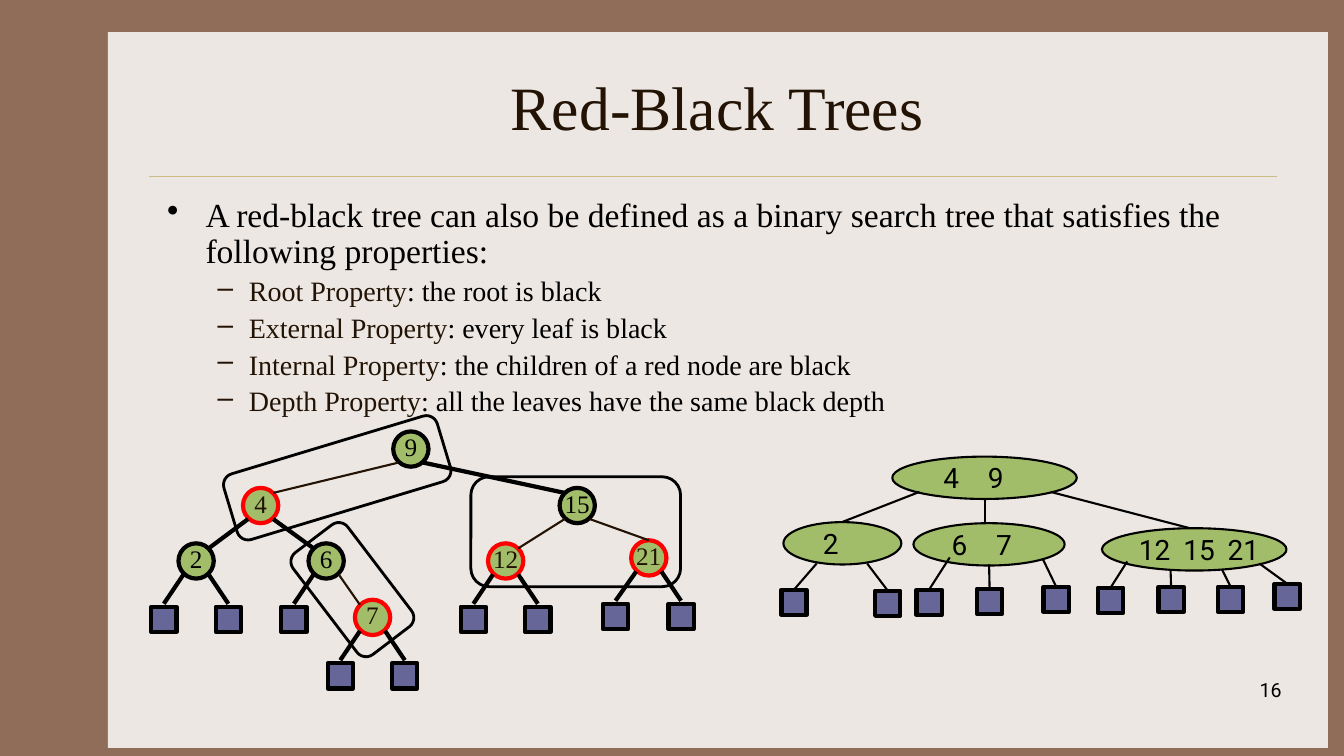
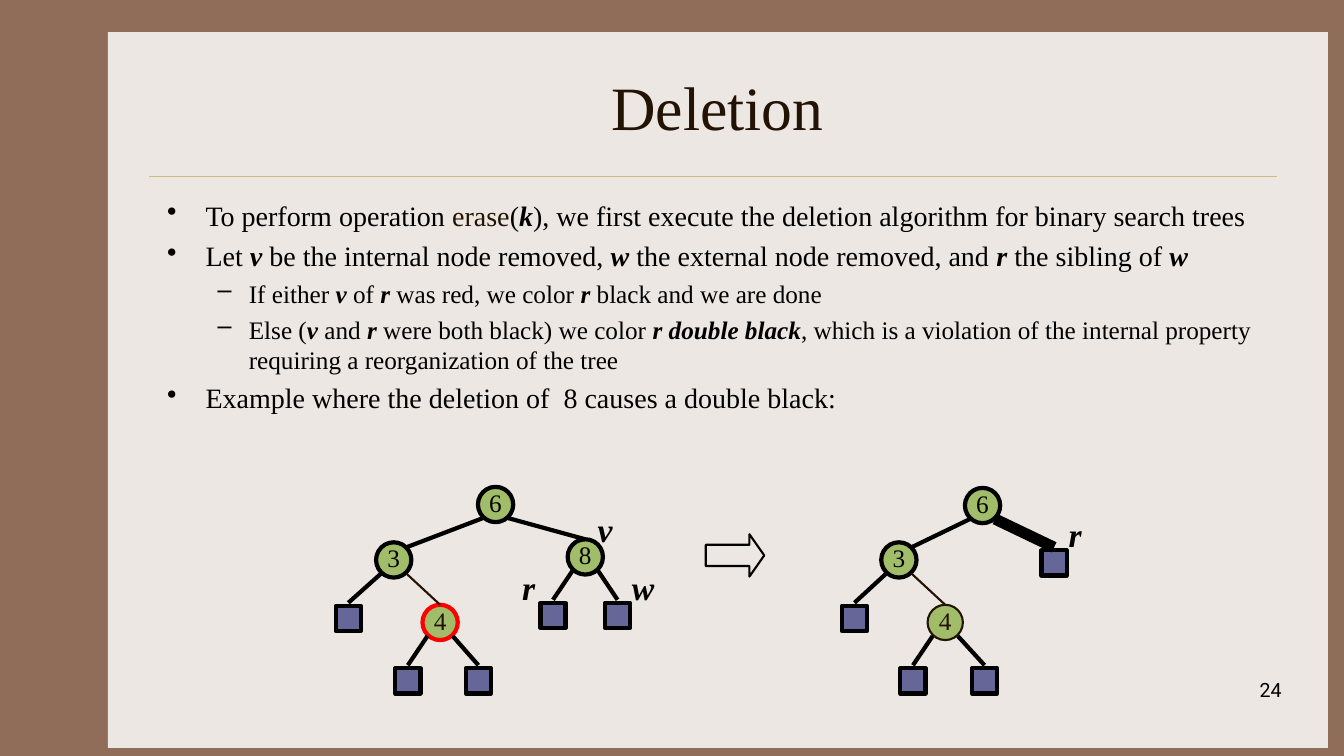
"""Builds two lecture slides on red-black trees and deletion."""
from lxml import etree
from pptx import Presentation
from pptx.dml.color import RGBColor
from pptx.enum.shapes import MSO_CONNECTOR, MSO_SHAPE
from pptx.enum.text import MSO_ANCHOR, PP_ALIGN
from pptx.oxml.ns import qn
from pptx.util import Inches, Pt

RECT, OVAL = MSO_SHAPE.RECTANGLE, MSO_SHAPE.OVAL
ROUND, ARROW = MSO_SHAPE.ROUNDED_RECTANGLE, MSO_SHAPE.RIGHT_ARROW
STRAIGHT = MSO_CONNECTOR.STRAIGHT
TOP, MIDDLE = MSO_ANCHOR.TOP, MSO_ANCHOR.MIDDLE
LEFT, CENTER, RIGHT = PP_ALIGN.LEFT, PP_ALIGN.CENTER, PP_ALIGN.RIGHT

COLORS = {"frame": "906D58", "panel": "EDE7E3", "rule": "CBBD83", "brown": "221304",
          "black": "000000", "red": "FF0000", "node": "A1BD69", "leaf": "666699"}
SERIF, SANS = "Times New Roman", "Roboto"
NODE, LEAF, KEY_STEP = 0.35, 0.25, 0.44
BULLETS = [("•", 0.38, -0.38), ("–", 0.81, -0.31)]
KINDS = {"black": ("black", 3, "black", "black", 3),
         "red": ("red", 3, "brown", "brown", 1.5),
         "thin": ("brown", 1.5, "brown", "brown", 1.5)}

SLIDES = [
    {
        "title": "Red-Black Trees", "number": "16", "spacing": 0.9,
        "body": [
            (0, 24, [("A red-black tree can also be defined as a binary search tree "
                      "that satisfies the following properties:", "")]),
            (1, 20, [("Root Property", "brown"), (": the root is black", "")]),
            (1, 20, [("External Property", "brown"), (": every leaf is black", "")]),
            (1, 20, [("Internal Property", "brown"),
                     (": the children of a red node are black", "")]),
            (1, 20, [("Depth Property", "brown"),
                     (": all the leaves have the same black depth", "")]),
        ],
        "trees": [{
            "nodes": {
                "9": (3.9, 4.28, "black", None, "side"),
                "4": (2.41, 4.84, "red", "9", "side"),
                "15": (5.55, 4.84, "black", "9", "side"),
                "2": (1.77, 5.39, "black", "4", "side"),
                "6": (3.06, 5.39, "black", "4", "side"),
                "7": (3.52, 5.95, "red", "6", "side"),
                "12": (4.84, 5.39, "red", "15", "side"),
                "21": (6.26, 5.36, "red", "15", "top"),
            },
            "leaves": [("2", 1.5, 6.02, 3), ("2", 2.14, 6.02, 3), ("6", 2.79, 6.02, 3),
                       ("7", 3.25, 6.58, 3), ("7", 3.89, 6.58, 3),
                       ("12", 4.57, 6.02, 3), ("12", 5.21, 6.02, 3),
                       ("21", 5.98, 5.99, 3), ("21", 6.63, 5.99, 3)],
        }],
        "outlines": [(ROUND, 2.24, 4.4, 2.21, 0.68, 343.2, 2),
                     (ROUND, 2.86, 5.51, 1.27, 0.68, 52.7, 2),
                     (ROUND, 4.67, 4.73, 2.08, 1.09, 0, 2)],
        "multi_nodes": [(8.85, 4.53, 1.83, 0.24, "4\t9"), (7.77, 5.18, 1.17, 0.22, "2"),
                        (9.06, 5.19, 1.5, 0.16, "6\t7"),
                        (10.93, 5.24, 1.83, 0.1, "12\t15\t21")],
        "multi_edges": [(9.12, 4.88, 8.35, 5.18), (9.77, 4.95, 9.77, 5.18),
                        (10.42, 4.88, 11.8, 5.24)],
        "multi_leaves": [(7.75, 5.85, 8.1, 5.59), (8.68, 5.86, 8.6, 5.59),
                         (9.09, 5.85, 9.42, 5.53), (9.69, 5.84, 9.81, 5.6),
                         (10.35, 5.82, 10.34, 5.54), (10.89, 5.83, 11.18, 5.57),
                         (11.49, 5.82, 11.61, 5.66), (12.08, 5.82, 12.12, 5.65),
                         (12.64, 5.79, 12.49, 5.59)],
        "labels": [],
    },
    {
        "title": "Deletion", "number": "24", "spacing": 1.0,
        "body": [
            (0, 20, [("To perform operation ", ""), ("erase", "brown"), ("(", ""),
                     ("k", "strong"), ("), we first execute the deletion algorithm "
                                       "for binary search trees", "")]),
            (0, 20, [("Let ", ""), ("v", "strong"),
                     (" be the internal node removed, ", ""), ("w", "strong"),
                     (" the external node removed, and ", ""), ("r", "strong"),
                     (" the sibling of ", ""), ("w", "strong")]),
            (1, 18, [("If either ", ""), ("v", "strong"), (" of ", ""), ("r", "strong"),
                     (" was red, we color ", ""), ("r", "strong"),
                     (" black and we are done", "")]),
            (1, 18, [("Else (", ""), ("v", "strong"), (" and ", ""), ("r", "strong"),
                     (" were both black) we color ", ""), ("r double black", "strong"),
                     (", which is a violation of the internal property requiring "
                      "a reorganization of the tree", "")]),
            (0, 20, [("Example where the deletion of  8 causes a double black:", "")]),
        ],
        "trees": [
            {
                "nodes": {
                    "6": (4.74, 4.83, "black", None, "side"),
                    "3": (3.73, 5.38, "black", "6", "side"),
                    "8": (5.63, 5.35, "black", "6", "top"),
                    "4": (4.19, 6, "red", "3", "top"),
                },
                "leaves": [("3", 3.33, 6.01, 3), ("8", 5.36, 5.98, 3), ("8", 6, 5.98, 3),
                           ("4", 3.92, 6.63, 3), ("4", 4.62, 6.63, 3)],
            },
            {
                "nodes": {
                    "6": (9.57, 4.84, "black", None, "side"),
                    "3": (8.74, 5.38, "black", "6", "side"),
                    "4": (9.2, 6, "thin", "3", "top"),
                },
                "leaves": [("3", 8.35, 6.01, 3), ("6", 10.33, 5.46, 8),
                           ("4", 8.93, 6.63, 3), ("4", 9.64, 6.63, 3)],
            },
        ],
        "outlines": [(ARROW, 7, 5.3, 0.58, 0.42, 0, 1.5)],
        "multi_nodes": [], "multi_edges": [], "multi_leaves": [],
        "labels": [("v", 5.83, 5), ("r", 5.08, 5.58), ("w", 6.17, 5.58), ("r", 10.5, 5.05)],
    },
]


def add_shape(s, kind, x, y, w, h, fill=None, line=None, width=0):
    sp = s.shapes.add_shape(kind, Inches(x), Inches(y), Inches(w), Inches(h))
    sp.shadow.inherit = False
    if fill:
        sp.fill.solid()
        sp.fill.fore_color.rgb = RGBColor.from_string(COLORS[fill])
    else:
        sp.fill.background()
    if line:
        sp.line.color.rgb = RGBColor.from_string(COLORS[line])
        sp.line.width = Pt(width)
    else:
        sp.line.fill.background()
    return sp


def add_run(p, text, size, color="black", font=SERIF, strong=False):
    r = p.add_run()
    r.text = text
    r.font.size, r.font.name = Pt(size), font
    r.font.bold = r.font.italic = strong
    r.font.color.rgb = RGBColor.from_string(COLORS[color])


prs = Presentation()
prs.slide_width, prs.slide_height = Inches(13.33), Inches(7.5)
background = prs.slide_master.background.fill
background.solid()
background.fore_color.rgb = RGBColor.from_string(COLORS["frame"])

for data in SLIDES:
    s = prs.slides.add_slide(prs.slide_layouts[6])
    add_shape(s, RECT, 1.07, 0.32, 12.1, 7.1, "panel")
    lines = [(1.48, 1.75, 12.67, 1.75, "rule", 0.25)]

    texts = [(data["title"], 1.56, 0.42, 11.11, 1.25, MIDDLE, CENTER, 44, "brown", SERIF, False),
             (data["number"], 10.03, 6.68, 2.78, 0.5, TOP, RIGHT, 14, "black", SANS, False)]
    for text, x, y in data["labels"]:
        texts.append((text, x, y, 0.5, 0.5, TOP, LEFT, 24, "black", SERIF, True))
    for text, x, y, w, h, anchor, align, size, color, font, strong in texts:
        tf = s.shapes.add_textbox(Inches(x), Inches(y), Inches(w), Inches(h)).text_frame
        tf.word_wrap, tf.vertical_anchor = True, anchor
        p = tf.paragraphs[0]
        p.alignment = align
        add_run(p, text, size, color, font, strong)

    tf = s.shapes.add_textbox(Inches(1.56), Inches(1.92), Inches(11.11), Inches(2.45)).text_frame
    tf.word_wrap = True
    for i, (level, size, runs) in enumerate(data["body"]):
        p = tf.add_paragraph() if i else tf.paragraphs[0]
        bullet, margin, indent = BULLETS[level]
        pPr = p._p.get_or_add_pPr()
        pPr.set("marL", str(Inches(margin)))
        pPr.set("indent", str(Inches(indent)))
        etree.SubElement(pPr, qn("a:buChar"), char=bullet)
        p.level = level
        p.line_spacing = data["spacing"]
        p.space_before = Pt(round(0.23 * size, 1) if i else 0)
        for text, style in runs:
            color = "brown" if style == "brown" else "black"
            add_run(p, text, size, color, strong=style == "strong")

    for tree in data["trees"]:
        nodes = tree["nodes"]
        for key, (x, y, kind, parent, end) in nodes.items():
            outline, width, ink, edge, edge_width = KINDS[kind]
            sp = add_shape(s, OVAL, x, y, NODE, NODE, "node", outline, width)
            tf = sp.text_frame
            tf.margin_left = tf.margin_right = tf.margin_top = 0
            tf.margin_bottom = Inches(0.05)
            tf.word_wrap, tf.vertical_anchor = False, MIDDLE
            p = tf.paragraphs[0]
            p.alignment = CENTER
            add_run(p, key, 18, ink)
            if parent:
                px, py = nodes[parent][:2]
                start, side = (0.05, 0.3) if x < px else (0.3, 0.05)
                dx, dy = (NODE / 2, 0) if end == "top" else (side, 0.05)
                lines.append((px + start, py + 0.31, x + dx, y + dy, edge, edge_width))
        for parent, x, y, width in tree["leaves"]:
            add_shape(s, RECT, x, y, LEAF, LEAF, "leaf", "black", 3)
            px, py = nodes[parent][:2]
            start = 0.05 if x < px else 0.3
            lines.append((px + start, py + 0.31, x + LEAF / 2, y - 0.03, "black", width))

    for kind, x, y, w, h, angle, width in data["outlines"]:
        sp = add_shape(s, kind, x, y, w, h, line="black", width=width)
        sp.rotation = angle
        if kind == ARROW:
            sp.adjustments[0], sp.adjustments[1] = 0.5, 0.35

    for x, y, w, inset, keys in data["multi_nodes"]:
        tf = add_shape(s, OVAL, x, y, w, 0.42, "node", "black", 1.5).text_frame
        tf.margin_left = Inches(inset)
        tf.margin_right = tf.margin_top = tf.margin_bottom = 0
        tf.word_wrap, tf.vertical_anchor = True, MIDDLE
        p = tf.paragraphs[0]
        tabs = etree.SubElement(p._p.get_or_add_pPr(), qn("a:tabLst"))
        for n in range(1, keys.count("\t") + 1):
            etree.SubElement(tabs, qn("a:tab"), pos=str(Inches(n * KEY_STEP)), algn="l")
        p.alignment = LEFT
        add_run(p, keys, 20, font=SANS)
    for edge in data["multi_edges"]:
        lines.append((*edge, "black", 1.5))
    for x, y, from_x, from_y in data["multi_leaves"]:
        add_shape(s, RECT, x, y, LEAF, LEAF, "leaf", "black", 3)
        lines.append((from_x, from_y, x + LEAF / 2, y, "black", 1.5))

    for x1, y1, x2, y2, color, width in lines:
        line = s.shapes.add_connector(STRAIGHT, Inches(x1), Inches(y1), Inches(x2), Inches(y2))
        line.line.color.rgb = RGBColor.from_string(COLORS[color])
        line.line.width = Pt(width)
        etree.SubElement(line._element.spPr, qn("a:effectLst"))

prs.save("out.pptx")
